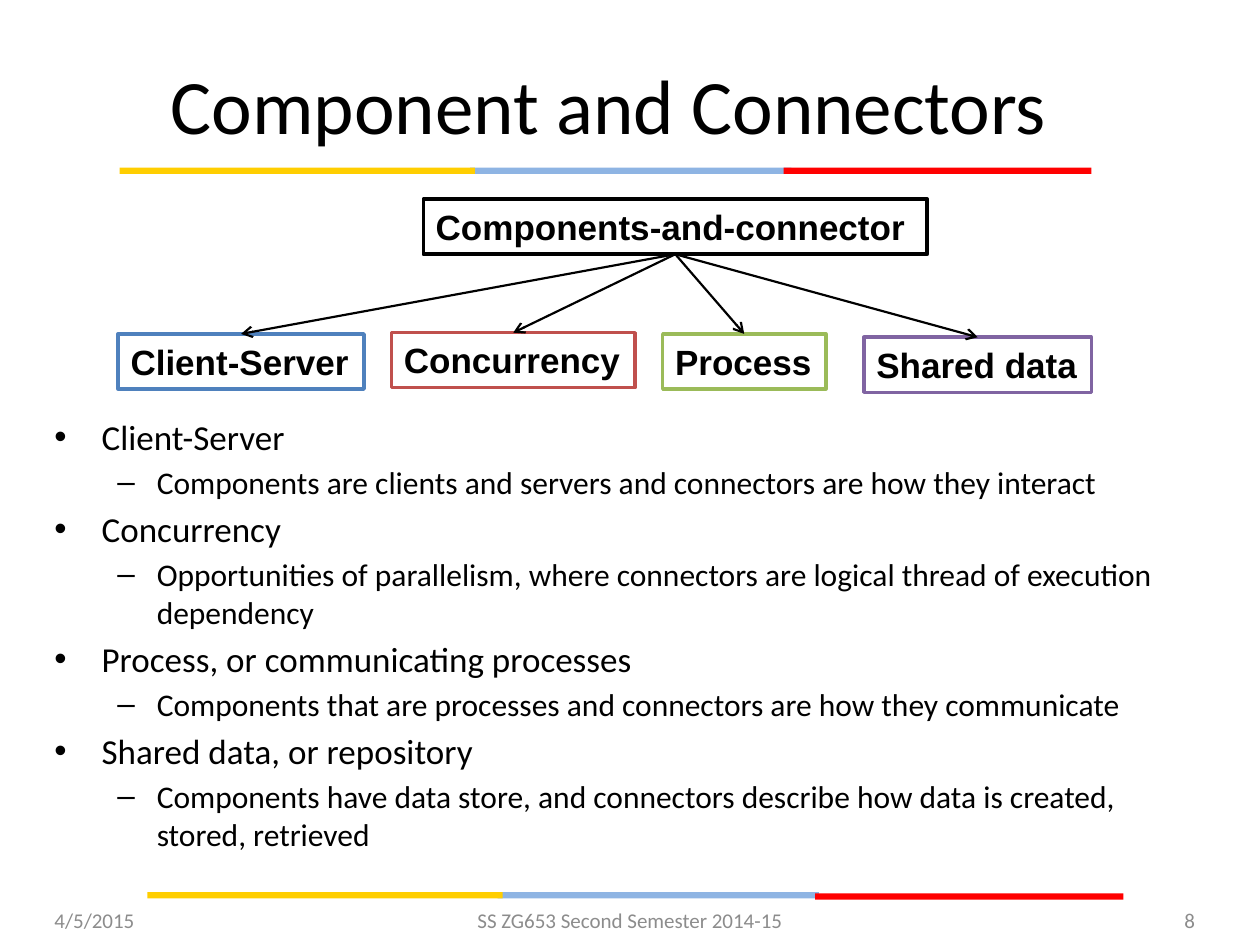
"""Build the component and connector slide."""
from typing import NamedTuple

from lxml.etree import SubElement
from pptx import Presentation
from pptx.dml.color import RGBColor
from pptx.enum.shapes import MSO_CONNECTOR as Wire, MSO_SHAPE as Form
from pptx.enum.text import MSO_ANCHOR as Anchor, MSO_AUTO_SIZE as Fit, PP_ALIGN as Align
from pptx.oxml.ns import qn
from pptx.util import Pt

HUES = {
    "black": "000000", "white": "FFFFFF", "gray": "8C8C8C",
    "gold": "FFCE00", "sky": "8EB4E3", "red": "FF0000",
    "blue": "4F81BD", "brick": "C0504D", "green": "9BBB59", "plum": "8064A2",
}


class Band(NamedTuple):
    left: float
    top: float
    width: float
    hue: str


class Box(NamedTuple):
    text: str
    left: float
    top: float
    width: float
    hue: str
    wrap: bool = False


class Label(NamedTuple):
    text: str
    left: float
    top: float
    width: float
    height: float
    size: float
    hue: str
    align: Align


class Level(NamedTuple):
    mark: str
    size: float
    left: float
    hang: float
    gap: float


BANDS = [
    Band(268.6, 95.8, 183.6, "sky"),
    Band(447.8, 95.8, 175.9, "red"),
    Band(68.4, 95.8, 203, "gold"),
    Band(284.4, 509.8, 183.6, "sky"),
    Band(465.8, 510.5, 176.2, "red"),
    Band(84.2, 509.8, 203, "gold"),
]
ROOT = Box("Components-and-connector", 241.9, 113.8, 288, "black", True)
LEAVES = [
    Box("Client-Server", 67.5, 190.8, 140.5, "blue"),
    Box("Concurrency", 223.7, 190.1, 139.2, "brick"),
    Box("Process", 378.7, 190.8, 93.2, "green"),
    Box("Shared data", 493.7, 192.7, 130, "plum"),
]
LABELS = [
    Label("Component and Connectors", 24, 22.5, 648, 74, 44, "black", Align.CENTER),
    Label("4/5/2015", 24, 511.5, 168, 28.75, 12, "gray", Align.LEFT),
    Label("SS ZG653 Second Semester 2014-15", 246, 511.5, 228, 28.75, 12, "gray", Align.CENTER),
    Label("8", 522, 511.5, 168, 28.75, 12, "gray", Align.RIGHT),
]
TOPIC = Level("•", 20, 27, 27, 4)
NOTE = Level("–", 18, 58.5, 22.5, 3)
POINTS = [
    ("Client-Server",
     "Components are clients and servers and connectors are how they interact"),
    ("Concurrency",
     "Opportunities of parallelism, where connectors are logical thread of execution dependency"),
    ("Process, or communicating processes",
     "Components that are processes and connectors are how they communicate"),
    ("Shared data, or repository",
     "Components have data store, and connectors describe how data is created, stored, retrieved"),
]


def tint(name: str) -> RGBColor:
    """Look up a colour."""
    return RGBColor.from_string(HUES[name])


def write(para, text: str, size: float, hue: str, face: str = "Calibri", bold: bool = False) -> None:
    """Add one styled run."""
    run = para.add_run()
    run.text = text
    font = run.font
    font.name, font.size, font.bold = face, Pt(size), bold
    font.color.rgb = tint(hue)


def block(slide, left: float, top: float, width: float, height: float, hue: str):
    """Add a filled rectangle without outline."""
    shape = slide.shapes.add_shape(Form.RECTANGLE, Pt(left), Pt(top), Pt(width), Pt(height))
    shape.shadow.inherit = False
    shape.fill.solid()
    shape.fill.fore_color.rgb = tint(hue)
    shape.line.fill.background()
    return shape


def draw_box(slide, box: Box):
    """Add an outlined box with bold text."""
    shape = block(slide, box.left, box.top, box.width, 31.5, "white")
    shape.line.color.rgb = tint(box.hue)
    shape.line.width = Pt(2)
    frame = shape.text_frame
    frame.word_wrap = box.wrap
    frame.auto_size = Fit.SHAPE_TO_FIT_TEXT
    frame.vertical_anchor = Anchor.TOP
    para = frame.paragraphs[0]
    para.alignment = Align.LEFT
    write(para, box.text, 20, "black", "Arial", True)
    return shape


def draw_arrow(slide, start, end) -> None:
    """Join the foot of one box to the head of another."""
    line = slide.shapes.add_connector(Wire.STRAIGHT, 0, 0, 0, 0)
    line.begin_connect(start, 2)
    line.end_connect(end, 0)
    line.line.color.rgb = tint("black")
    line.line.width = Pt(1.25)
    SubElement(line.line._get_or_add_ln(), qn("a:tailEnd"), type="arrow")
    SubElement(line._element.spPr, qn("a:effectLst"))


def draw_label(slide, label: Label) -> None:
    """Add a single line of text, centred in height."""
    area = slide.shapes.add_textbox(Pt(label.left), Pt(label.top), Pt(label.width), Pt(label.height))
    frame = area.text_frame
    frame.word_wrap = True
    frame.vertical_anchor = Anchor.MIDDLE
    para = frame.paragraphs[0]
    para.alignment = label.align
    write(para, label.text, label.size, label.hue)


def draw_points(slide) -> None:
    """Add the two-level bullet list."""
    frame = slide.shapes.add_textbox(Pt(24), Pt(234), Pt(654), Pt(270)).text_frame
    frame.word_wrap = True
    rows = [row for topic, note in POINTS for row in ((topic, TOPIC), (note, NOTE))]
    for i, (text, level) in enumerate(rows):
        para = frame.add_paragraph() if i else frame.paragraphs[0]
        para.level = int(level is NOTE)
        para.space_before = Pt(level.gap)
        props = para._p.get_or_add_pPr()
        props.set("marL", str(Pt(level.left)))
        props.set("indent", str(-Pt(level.hang)))
        SubElement(props, qn("a:buFont"), typeface="Arial")
        SubElement(props, qn("a:buChar"), char=level.mark)
        write(para, text, level.size, "black")


def main() -> None:
    """Build and save the slide."""
    deck = Presentation()
    deck.slide_width, deck.slide_height = Pt(720), Pt(540)
    slide = deck.slides.add_slide(deck.slide_layouts[6])
    for band in BANDS:
        block(slide, band.left, band.top, band.width, 3.6, band.hue)
    draw_points(slide)
    root = draw_box(slide, ROOT)
    leaves = [draw_box(slide, leaf) for leaf in LEAVES]
    for leaf in leaves:
        draw_arrow(slide, root, leaf)
    for label in LABELS:
        draw_label(slide, label)
    deck.save("out.pptx")


if __name__ == "__main__":
    main()
